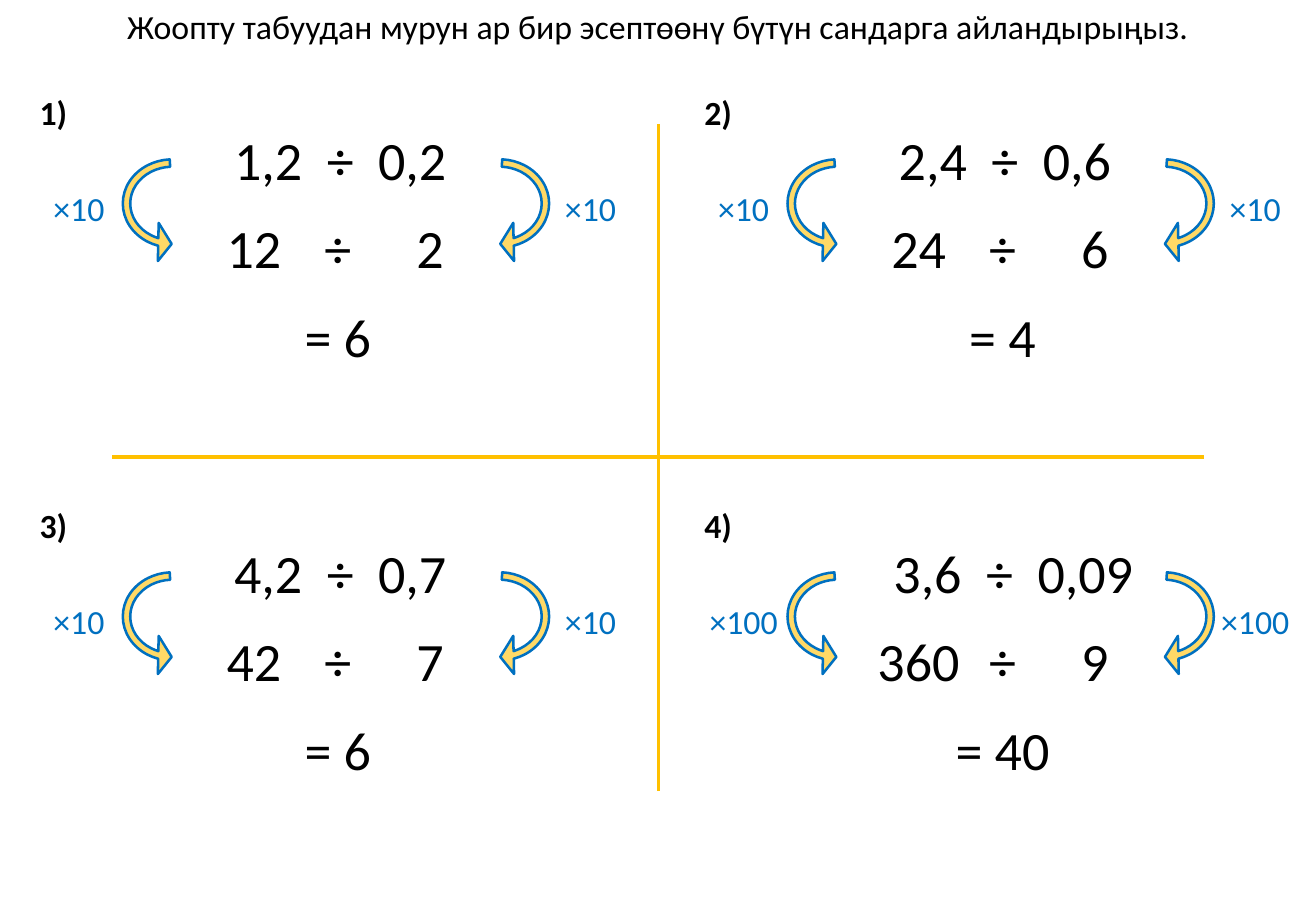
from dataclasses import dataclass

from lxml import etree
from pptx import Presentation
from pptx.dml.color import RGBColor
from pptx.enum.shapes import MSO_CONNECTOR, MSO_SHAPE
from pptx.enum.text import MSO_ANCHOR, MSO_AUTO_SIZE, PP_ALIGN
from pptx.oxml.ns import qn
from pptx.util import Inches, Pt

STRAIGHT = MSO_CONNECTOR.STRAIGHT
CIRCULAR_ARROW = MSO_SHAPE.CIRCULAR_ARROW
CENTER = PP_ALIGN.CENTER
TOP = MSO_ANCHOR.TOP
FIT_SHAPE = MSO_AUTO_SIZE.SHAPE_TO_FIT_TEXT
TITLE_ONLY = 5


@dataclass(frozen=True)
class Theme:
    font: str = "Calibri"
    small: int = 20
    large: int = 32
    ink: RGBColor = RGBColor(0, 0, 0)
    blue: RGBColor = RGBColor(0x00, 0x70, 0xC0)
    gold: RGBColor = RGBColor(0xFF, 0xC0, 0x00)
    sand: RGBColor = RGBColor(0xFF, 0xD9, 0x66)
    sign_gap: float = 7.2  # extra points after a space beside the ÷ sign


@dataclass(frozen=True)
class Problem:
    dividend: str
    divisor: str
    whole_dividend: str
    whole_divisor: str
    factor: str
    answer: str
    shift: float = 0


HEADING = "Жоопту табуудан мурун ар бир эсептөөнү бүтүн сандарга айландырыңыз."
PROBLEMS = [
    Problem("1,2", "0,2", "12", "2", "×10", "= 6"),
    Problem("2,4", "0,6", "24", "6", "×10", "= 4"),
    Problem("4,2", "0,7", "42", "7", "×10", "= 6"),
    Problem("3,6", "0,09", "360", "9", "×100", "= 40", 0.07),
]
COLUMN_STEP, ROW_STEP = 5.47, 3.4
ARROW_BEND = (0.062, 11.423, 203.847, 110.164, 0.16)
DIGIT_WIDTH = 0.52  # in ems
GLYPH_WIDTHS = {" ": 0.24, ",": 0.26, ")": 0.32}


class Worksheet:
    def __init__(self, slide, theme):
        self.slide = slide
        self.theme = theme

    def style(self, box, size, color, bold=False):
        frame = box.text_frame
        frame.word_wrap = False
        frame.auto_size = FIT_SHAPE
        frame.vertical_anchor = TOP
        para = frame.paragraphs[0]
        para.alignment = CENTER
        for span in para.runs:
            span.font.name = self.theme.font
            span.font.size = Pt(size)
            span.font.bold = bold
            span.font.color.rgb = color

    def title(self, text):
        box = self.slide.shapes.title
        box.left, box.top = Inches(0.91), Inches(0)
        box.width, box.height = Inches(9.01), Inches(0.44)
        box.text_frame.text = text
        self.style(box, self.theme.small, self.theme.ink)

    def text(self, spans, center, top, size, color, bold=False):
        """Centre a line of spans; spans that are one space are widened."""
        gap = self.theme.sign_gap
        ems = sum(GLYPH_WIDTHS.get(glyph, DIGIT_WIDTH) for glyph in "".join(spans))
        width = 0.21 + (ems * size + spans.count(" ") * gap) / 72
        height = 0.1 + size * 1.22 / 72
        box = self.slide.shapes.add_textbox(
            Inches(center - width / 2), Inches(top), Inches(width), Inches(height))
        para = box.text_frame.paragraphs[0]
        for words in spans:
            span = para.add_run()
            span.text = words
            if words == " ":
                span._r.get_or_add_rPr().set("spc", str(round(gap * 100)))
        self.style(box, size, color, bold)

    def number(self, text, center, top):
        self.text([text], center, top, self.theme.large, self.theme.ink)

    def division(self, dividend, divisor, center, top):
        self.text([dividend, " ", "÷", " ", divisor], center, top,
                  self.theme.large, self.theme.ink)

    def arrow(self, left, top, mirrored):
        shape = self.slide.shapes.add_shape(
            CIRCULAR_ARROW, Inches(left), Inches(top), Inches(0.98), Inches(1.07))
        for index, value in enumerate(ARROW_BEND):
            shape.adjustments[index] = value
        shape.rotation = 90
        if mirrored:
            shape._element.spPr.find(qn("a:xfrm")).set("flipV", "1")
        shape.shadow.inherit = False
        shape.fill.solid()
        shape.fill.fore_color.rgb = self.theme.sand
        shape.line.color.rgb = self.theme.blue
        shape.line.width = Pt(1.5)

    def divider(self, *ends):
        line = self.slide.shapes.add_connector(STRAIGHT, *map(Inches, ends))
        line.line.color.rgb = self.theme.gold
        line.line.width = Pt(2.25)
        etree.SubElement(line._element.spPr, qn("a:effectLst"))

    def problem(self, index, item):
        row, column = divmod(index, 2)
        x, y = column * COLUMN_STEP, row * ROW_STEP
        theme = self.theme
        self.text([f"{index + 1})"], x + 0.44, y + 0.71, theme.small, theme.ink, True)
        # Decimal division, then the same division in whole numbers
        self.division(item.dividend, item.divisor, x + 2.8 + item.shift, y + 0.99)
        self.number(item.whole_dividend, x + 2.09, y + 1.72)
        self.number("÷", x + 2.78, y + 1.72)
        self.number(item.whole_divisor, x + 3.54, y + 1.72)
        self.number(item.answer, x + 2.78, y + 2.45)
        # Arrow and factor on each side
        for arrow_left, label_center, mirrored in ((0.93, 0.65, True), (3.62, 4.86, False)):
            self.arrow(x + arrow_left, y + 1.14, mirrored)
            self.text([item.factor], x + label_center, y + 1.5, theme.small, theme.blue)


def main():
    deck = Presentation()
    deck.slide_width, deck.slide_height = Inches(10.83), Inches(7.5)
    page = deck.slides.add_slide(deck.slide_layouts[TITLE_ONLY])
    sheet = Worksheet(page, Theme())

    # Heading and quadrant lines
    sheet.title(HEADING)
    sheet.divider(5.42, 1.02, 5.42, 6.51)
    sheet.divider(9.91, 3.76, 0.92, 3.76)

    # Four problems in a two by two grid
    for index, item in enumerate(PROBLEMS):
        sheet.problem(index, item)

    deck.save("out.pptx")


if __name__ == "__main__":
    main()
